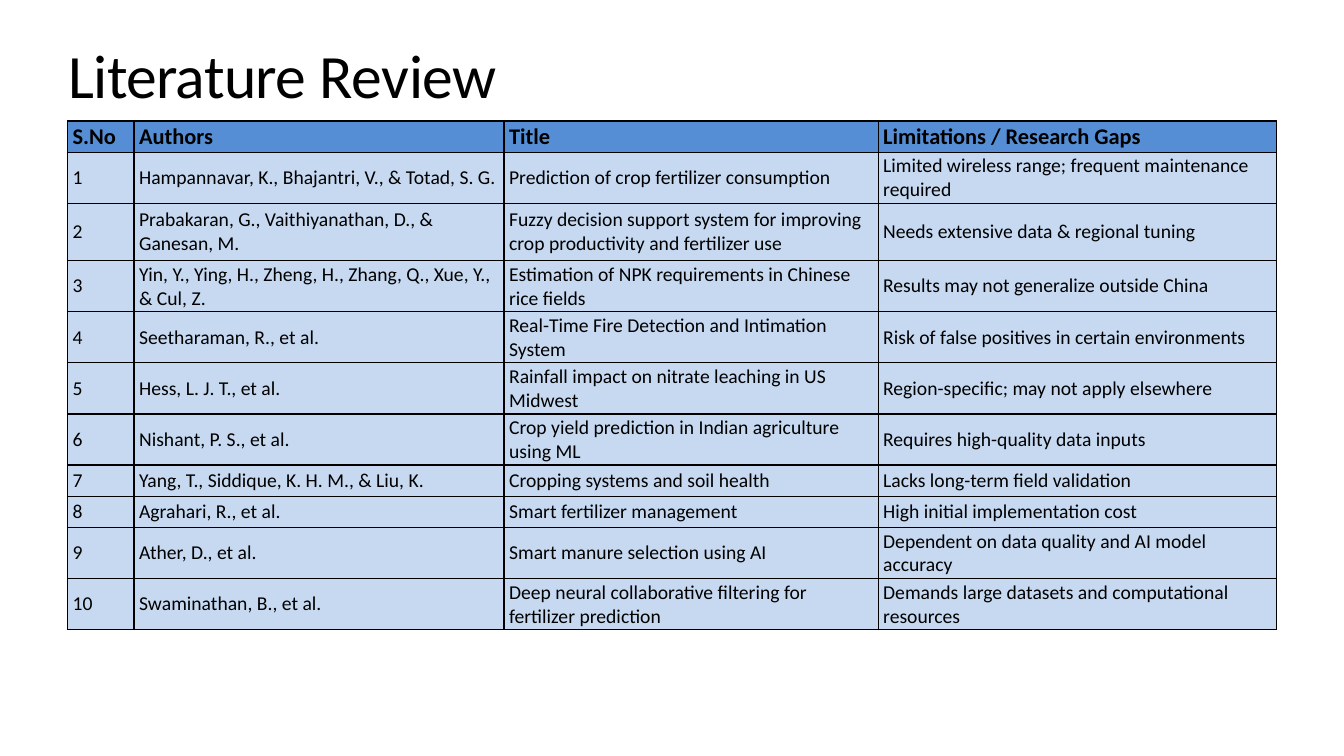
"""Build the Literature Review slide with its table of studies."""
from lxml import etree
from pptx import Presentation
from pptx.dml.color import RGBColor
from pptx.enum.text import MSO_ANCHOR
from pptx.oxml.ns import qn
from pptx.util import Inches, Pt

MIDDLE = MSO_ANCHOR.MIDDLE
TOP = MSO_ANCHOR.TOP
FONT = "Calibri"
COLORS = {"text": "000000", "border": "000000", "header": "558ED5", "body": "C6D9F1"}

TITLE_RUNS = [("Literature ", -50), ("Review", -30)]
HEADER = ("S.No", "Authors", "Title", "Limitations / Research Gaps")
STUDIES = [
    ("Hampannavar, K., Bhajantri, V., & Totad, S. G.",
     "Prediction of crop fertilizer consumption",
     "Limited wireless range; frequent maintenance required"),
    ("Prabakaran, G., Vaithiyanathan, D., & Ganesan, M.",
     "Fuzzy decision support system for improving crop productivity and fertilizer use",
     "Needs extensive data & regional tuning"),
    ("Yin, Y., Ying, H., Zheng, H., Zhang, Q., Xue, Y., & Cul, Z.",
     "Estimation of NPK requirements in Chinese rice fields",
     "Results may not generalize outside China"),
    ("Seetharaman, R., et al.",
     "Real-Time Fire Detection and Intimation System",
     "Risk of false positives in certain environments"),
    ("Hess, L. J. T., et al.",
     "Rainfall impact on nitrate leaching in US Midwest",
     "Region-specific; may not apply elsewhere"),
    ("Nishant, P. S., et al.",
     "Crop yield prediction in Indian agriculture using ML",
     "Requires high-quality data inputs"),
    ("Yang, T., Siddique, K. H. M., & Liu, K.",
     "Cropping systems and soil health",
     "Lacks long-term field validation"),
    ("Agrahari, R., et al.",
     "Smart fertilizer management",
     "High initial implementation cost"),
    ("Ather, D., et al.",
     "Smart manure selection using AI",
     "Dependent on data quality and AI model accuracy"),
    ("Swaminathan, B., et al.",
     "Deep neural collaborative filtering for fertilizer prediction",
     "Demands large datasets and computational resources"),
]
COL_WIDTHS = (0.66, 3.67, 3.71, 3.95)
ROW_HEIGHTS = (0.31, 0.5, 0.57, 0.5, 0.5, 0.5, 0.5, 0.31, 0.31, 0.5, 0.5)
LEFT = 0.67


def set_font(font, size, bold=False):
    font.name, font.size, font.bold = FONT, Pt(size), bold
    font.color.rgb = RGBColor.from_string(COLORS["text"])


def add_title(slide):
    tf = slide.shapes.add_textbox(
        Inches(LEFT), Inches(-0.01), Inches(9.78), Inches(1.16)).text_frame
    tf.word_wrap = True
    tf.vertical_anchor = TOP
    tf.margin_left = tf.margin_right = tf.margin_bottom = 0
    tf.margin_top = Inches(0.38)
    p = tf.paragraphs[0]
    p.space_before = Pt(1.3)
    p._p.get_or_add_pPr().set("marL", str(Inches(0.01)))
    set_font(p.font, 44)
    for text, spacing in TITLE_RUNS:
        r = p.add_run()
        r.text = text
        r._r.get_or_add_rPr().set("spc", str(spacing))


def add_borders(cell):
    tc_pr = cell._tc.get_or_add_tcPr()
    for side in ("lnL", "lnR", "lnT", "lnB"):
        ln = etree.SubElement(tc_pr, qn(f"a:{side}"), w=str(Pt(1)))
        fill = etree.SubElement(ln, qn("a:solidFill"))
        etree.SubElement(fill, qn("a:srgbClr"), val=COLORS["border"])


def fill_cell(cell, text, is_header):
    cell.text = text
    cell.vertical_anchor = MIDDLE
    cell.margin_left = cell.margin_right = Inches(0.05)
    cell.margin_top = cell.margin_bottom = Inches(0.02)
    set_font(cell.text_frame.paragraphs[0].font, 16 if is_header else 14, is_header)
    add_borders(cell)
    cell.fill.solid()
    cell.fill.fore_color.rgb = RGBColor.from_string(
        COLORS["header" if is_header else "body"])


def add_studies(slide):
    rows = [HEADER] + [(str(n), *study) for n, study in enumerate(STUDIES, 1)]
    table = slide.shapes.add_table(
        len(rows), len(HEADER), Inches(LEFT), Inches(1.2),
        Inches(sum(COL_WIDTHS)), Inches(sum(ROW_HEIGHTS))).table
    for column, width in zip(table.columns, COL_WIDTHS):
        column.width = Inches(width)
    for i, (row, height) in enumerate(zip(table.rows, ROW_HEIGHTS)):
        row.height = Inches(height)
        for cell, text in zip(row.cells, rows[i]):
            fill_cell(cell, text, i == 0)


def main():
    prs = Presentation()
    prs.slide_width, prs.slide_height = Inches(13.33), Inches(7.5)
    slide = prs.slides.add_slide(prs.slide_layouts[6])
    add_title(slide)
    add_studies(slide)
    prs.save("out.pptx")


if __name__ == "__main__":
    main()
